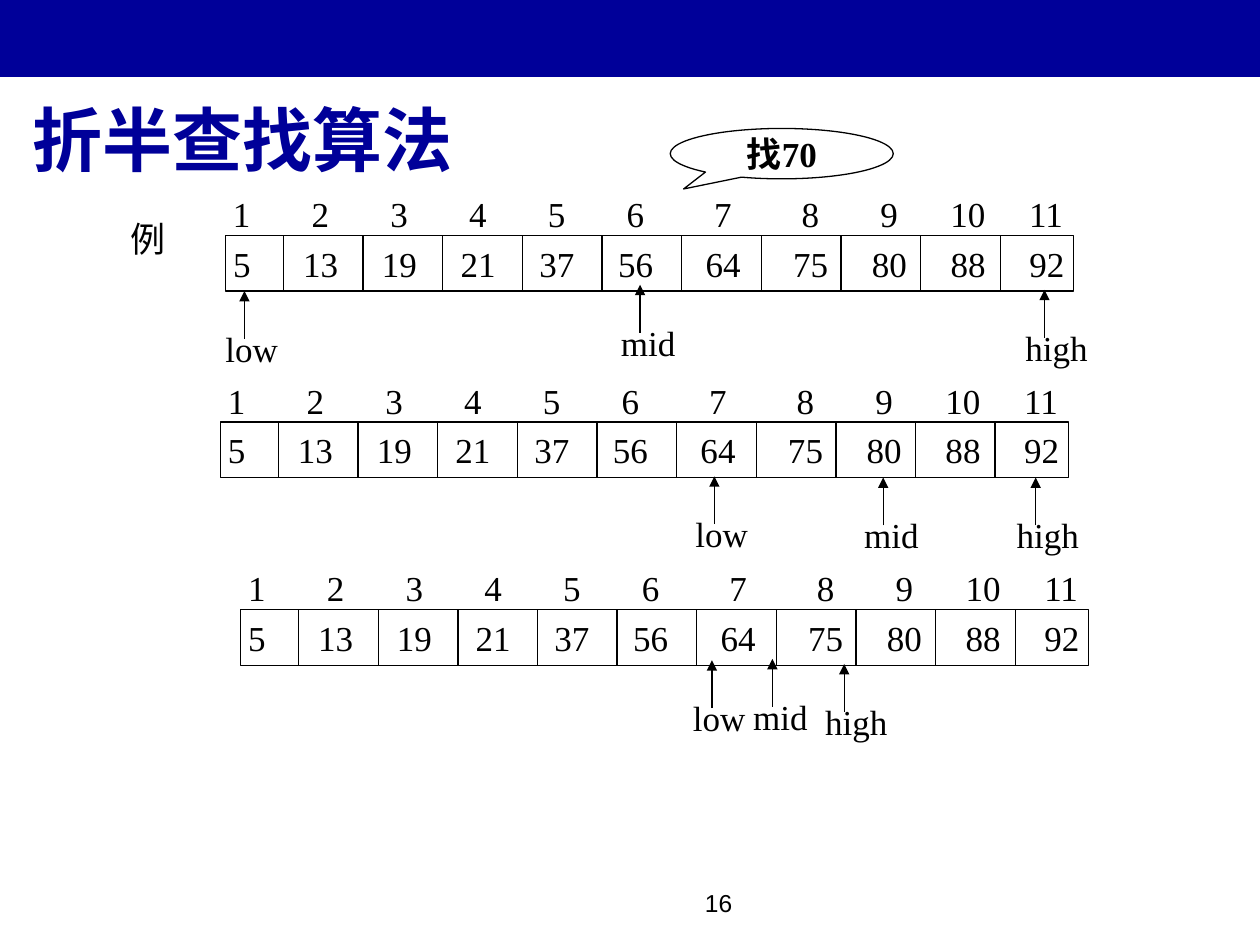
"""Builds a slide that traces a binary search for 70 in eleven sorted numbers."""
from itertools import accumulate

from lxml import etree
from pptx import Presentation
from pptx.dml.color import RGBColor
from pptx.enum.shapes import MSO_CONNECTOR, MSO_SHAPE
from pptx.enum.text import MSO_ANCHOR, PP_ALIGN
from pptx.oxml.ns import qn
from pptx.util import Inches, Pt

NAVY = RGBColor(0x00, 0x00, 0x99)
BLACK = RGBColor(0x00, 0x00, 0x00)
SERIF, SANS, HAN = "Times New Roman", "Arial", "Noto Sans CJK SC"
LEFT, CENTER, RIGHT = PP_ALIGN.LEFT, PP_ALIGN.CENTER, PP_ALIGN.RIGHT
TOP, MIDDLE, BOTTOM = MSO_ANCHOR.TOP, MSO_ANCHOR.MIDDLE, MSO_ANCHOR.BOTTOM
RECTANGLE, CALLOUT = MSO_SHAPE.RECTANGLE, MSO_SHAPE.OVAL_CALLOUT
STRAIGHT = MSO_CONNECTOR.STRAIGHT

INDEXES = range(1, 12)
INDEX_GAPS = [7, 7, 7, 7, 7, 8, 8, 7, 6, 5]
VALUES = [5, 13, 19, 21, 37, 56, 64, 75, 80, 88, 92]
VALUE_GAPS = [6, 5, 5, 5, 5, 6, 6, 5, 5, 5]
DIGIT, SPACE = 10 / 72, 5 / 72
ROW_WIDTH, ROW_HEIGHT = 6.73, 0.44
FIRST_CELL, CELL = 0.46, 0.632
LABEL_WIDTHS = {"low": 0.61, "high": 0.69, "mid": 0.63}
STEPS = [
    (1.79, 1.87, {"low": (1.94, 2.31), "high": (8.29, 2.3), "mid": (5.08, 2.26)}),
    (1.75, 3.35, {"low": (5.67, 3.78), "high": (8.22, 3.79), "mid": (7.01, 3.79)}),
    (1.91, 4.84, {"low": (5.65, 5.24), "high": (6.7, 5.27), "mid": (6.13, 5.23)}),
]


def write(frame, text, *, size=20, font=SERIF, color=BLACK, bold=False, align=LEFT,
          anchor=TOP, wrap=False, left=0.1, right=0.1, tabs=()):
    """Put one formatted paragraph into a text frame."""
    frame.word_wrap = wrap
    frame.vertical_anchor = anchor
    frame.margin_left, frame.margin_right = Inches(left), Inches(right)
    paragraph = frame.paragraphs[0]
    paragraph.alignment = align
    if tabs:
        stops = etree.SubElement(paragraph._p.get_or_add_pPr(), qn("a:tabLst"))
        for stop in tabs:
            etree.SubElement(stops, qn("a:tab"), pos=str(Inches(stop)), algn="l")
    run = paragraph.add_run()
    run.text = text
    run.font.size, run.font.name, run.font.bold = Pt(size), font, bold
    run.font.color.rgb = color
    etree.SubElement(run._r.get_or_add_rPr(), qn("a:ea"), typeface=HAN)


def tab_stops(numbers, gaps):
    """Return the start of every number after the first, in inches."""
    widths = (len(str(number)) * DIGIT + gap * SPACE for number, gap in zip(numbers, gaps))
    return list(accumulate(widths))


class SearchSlide:
    """Holds the slide and draws each kind of element on it."""

    def __init__(self, slide):
        """Keep the slide to draw on."""
        self.slide = slide

    def text(self, x, y, width, height, text, **style):
        """Add a text box."""
        box = self.slide.shapes.add_textbox(*map(Inches, (x, y, width, height)))
        write(box.text_frame, text, **style)

    def shape(self, kind, x, y, width, height, fill=None, line=BLACK):
        """Add a preset shape and return it."""
        shape = self.slide.shapes.add_shape(kind, *map(Inches, (x, y, width, height)))
        shape.shadow.inherit = False
        if fill is None:
            shape.fill.background()
        else:
            shape.fill.solid()
            shape.fill.fore_color.rgb = fill
        if line is None:
            shape.line.fill.background()
        else:
            shape.line.color.rgb, shape.line.width = line, Pt(0.75)
        return shape

    def line(self, x, start, end, arrow=False):
        """Add a vertical line, with an arrowhead at its end if wanted."""
        line = self.slide.shapes.add_connector(STRAIGHT, *map(Inches, (x, start, x, end)))
        line.line.color.rgb, line.line.width = BLACK, Pt(0.75)
        if arrow:
            etree.SubElement(line.line._get_or_add_ln(), qn("a:tailEnd"), type="triangle")
        etree.SubElement(line._element.spPr, qn("a:effectLst"))

    def pointer(self, name, x, tip):
        """Add a labelled arrow that points up at a cell."""
        self.line(x, tip + 0.38, tip, arrow=True)
        self.text(x - 0.25, tip + 0.24, LABEL_WIDTHS[name], 0.44, name, wrap=True, right=0)

    def step(self, x, y, pointers):
        """Add the indexed row of numbers with its pointers."""
        self.text(x - 0.04, y - 0.39, 6.81, 0.44, "\t".join(map(str, INDEXES)),
                  wrap=True, right=0, tabs=tab_stops(INDEXES, INDEX_GAPS))
        row = self.shape(RECTANGLE, x, y, ROW_WIDTH, ROW_HEIGHT)
        write(row.text_frame, "\t".join(map(str, VALUES)), anchor=MIDDLE, wrap=True,
              left=0.06, right=0, tabs=tab_stops(VALUES, VALUE_GAPS))
        for cell in range(len(VALUES) - 1):
            self.line(x + FIRST_CELL + cell * CELL, y, y + ROW_HEIGHT)
        for name, (tip_x, tip_y) in pointers.items():
            self.pointer(name, tip_x, tip_y)


def main():
    """Build and save the slide."""
    deck = Presentation()
    deck.slide_width, deck.slide_height = Inches(10), Inches(7.5)
    page = SearchSlide(deck.slides.add_slide(deck.slide_layouts[6]))
    page.shape(RECTANGLE, -0.01, 0, 10.01, 0.61, fill=NAVY, line=None)
    page.text(3.83, 7, 2.08, 0.5, "16", size=14, font=SANS, align=RIGHT, wrap=True)
    page.text(0.94, 1.68, 0.54, 0.44, "例")
    target = page.shape(CALLOUT, 5.32, 1.02, 1.77, 0.4)
    target.adjustments[0], target.adjustments[1] = -0.44, 0.7
    write(target.text_frame, "找70", bold=True, align=CENTER, anchor=MIDDLE)
    for x, y, pointers in STEPS:
        page.step(x, y, pointers)
    page.text(0.16, 0.23, 7.83, 1.25, "折半查找算法", size=40, font=HAN, color=NAVY,
              bold=True, anchor=BOTTOM, wrap=True)
    deck.save("out.pptx")


if __name__ == "__main__":
    main()
